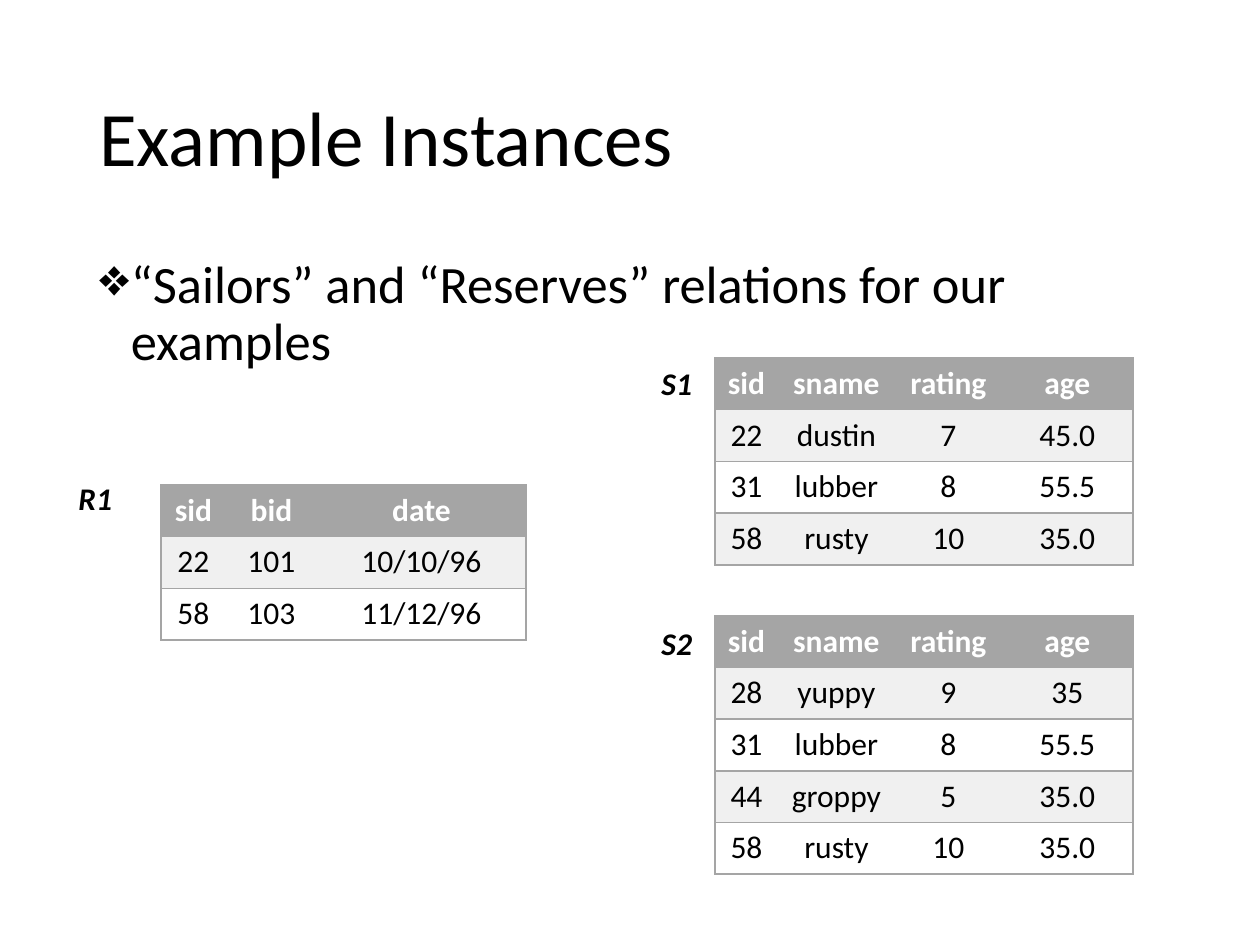
from lxml import etree
from pptx import Presentation
from pptx.dml.color import RGBColor
from pptx.enum.text import MSO_ANCHOR as Anchor, MSO_AUTO_SIZE as AutoSize, PP_ALIGN as Align
from pptx.oxml.ns import qn
from pptx.util import Pt

PX = 914400 // 126
FONT = "Calibri"
BLACK = RGBColor(0x00, 0x00, 0x00)
WHITE = RGBColor(0xFF, 0xFF, 0xFF)
GRAY = RGBColor(0xA5, 0xA5, 0xA5)
BAND = RGBColor(0xF0, 0xF0, 0xF0)

prs = Presentation()
prs.slide_width, prs.slide_height = 1260 * PX, 945 * PX
slide = prs.slides.add_slide(prs.slide_layouts[6])


def add_text(text, left, top, width, height, size, wrap=True):
    frame = slide.shapes.add_textbox(left * PX, top * PX, width * PX, height * PX).text_frame
    frame.word_wrap = wrap
    frame.text = text
    font = frame.paragraphs[0].runs[0].font
    font.name, font.size, font.color.rgb = FONT, Pt(size), BLACK
    return frame


def add_border(cell, side, visible):
    line = etree.SubElement(cell._tc.get_or_add_tcPr(), qn(f"a:ln{side}"), w=str(Pt(1)))
    if visible:
        fill = etree.SubElement(line, qn("a:solidFill"))
        etree.SubElement(fill, qn("a:srgbClr"), val=str(GRAY))
    else:
        etree.SubElement(line, qn("a:noFill"))


# Title
title = add_text("Example Instances", 87, 50, 1086, 183, 44)
title.vertical_anchor = Anchor.MIDDLE
title.paragraphs[0].line_spacing = 0.9

# Relation instances: left, top, height, column widths, rows
sailor_columns = [63, 117, 107, 131]
sailor_header = ["sid", "sname", "rating", "age"]
relations = [
    (161, 485, 155, [65, 91, 209], [
        ["sid", "bid", "date"],
        ["22", "101", "10/10/96"],
        ["58", "103", "11/12/96"],
    ]),
    (715, 358, 207, sailor_columns, [
        sailor_header,
        ["22", "dustin", "7", "45.0"],
        ["31", "lubber", "8", "55.5"],
        ["58", "rusty", "10", "35.0"],
    ]),
    (715, 616, 258, sailor_columns, [
        sailor_header,
        ["28", "yuppy", "9", "35"],
        ["31", "lubber", "8", "55.5"],
        ["44", "groppy", "5", "35.0"],
        ["58", "rusty", "10", "35.0"],
    ]),
]
for left, top, height, columns, rows in relations:
    relation = slide.shapes.add_table(
        len(rows), len(columns), left * PX, top * PX, sum(columns) * PX, height * PX
    ).table
    for column, width in zip(relation.columns, columns):
        column.width = width * PX
    for r, row in enumerate(rows):
        for c, value in enumerate(row):
            cell = relation.cell(r, c)
            # Rules run across every row, with vertical lines at the outer edges only
            edges = {"L": c == 0, "R": c == len(row) - 1, "T": True, "B": True}
            for side, visible in edges.items():
                add_border(cell, side, visible)
            cell.fill.solid()
            cell.fill.fore_color.rgb = GRAY if r == 0 else BAND if r % 2 else WHITE
            cell.margin_left = cell.margin_right = 6 * PX
            cell.text = value
            paragraph = cell.text_frame.paragraphs[0]
            paragraph.alignment = Align.CENTER
            font = paragraph.runs[0].font
            font.name, font.size, font.bold = FONT, Pt(18), r == 0
            font.color.rgb = WHITE if r == 0 else BLACK

# Relation names
for name, left, top, width in [("R1", 66, 473, 59), ("S2", 649, 618, 57), ("S1", 649, 358, 57)]:
    label = add_text(name, left, top, width, 50, 18, wrap=False)
    label.auto_size = AutoSize.SHAPE_TO_FIT_TEXT
    font = label.paragraphs[0].runs[0].font
    font.bold = font.italic = True

# Bullet statement
statement = add_text("“Sailors” and “Reserves” relations for our examples",
                     87, 252, 1086, 622, 30).paragraphs[0]
statement.line_spacing = 0.9
statement.space_before = Pt(10)
properties = statement._p.get_or_add_pPr()
properties.set("marL", str(Pt(18)))
properties.set("indent", str(-Pt(18)))
etree.SubElement(properties, qn("a:buChar"), char="❖")

prs.save("out.pptx")
